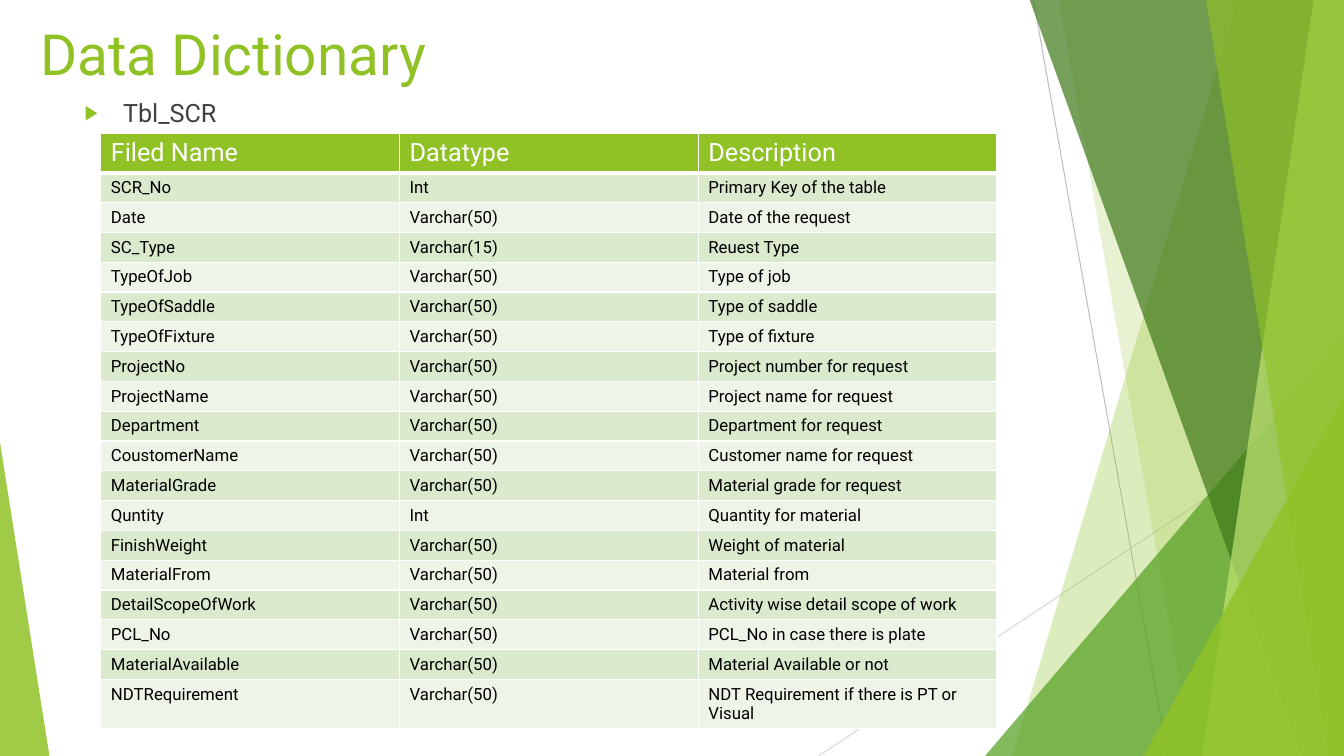
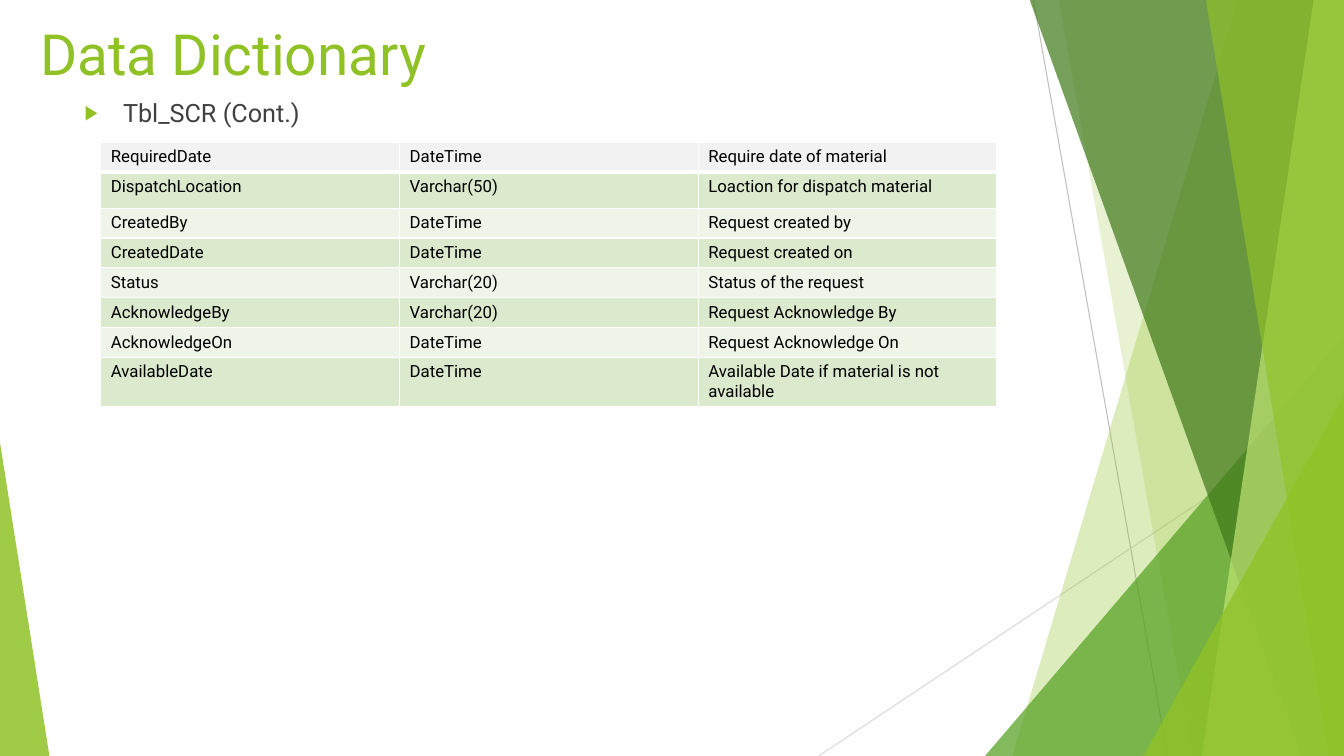
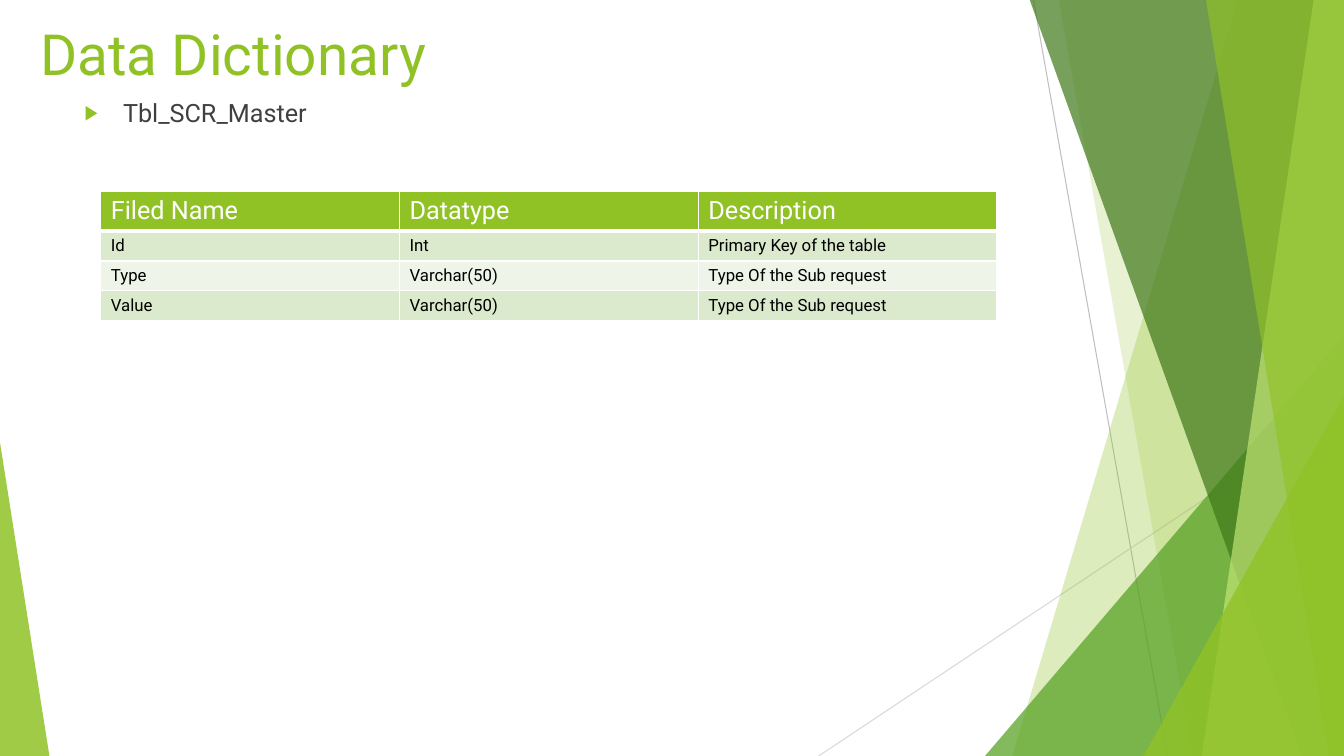
from lxml import etree
from pptx import Presentation
from pptx.dml.color import RGBColor
from pptx.enum.shapes import MSO_CONNECTOR, MSO_SHAPE
from pptx.enum.text import MSO_ANCHOR, MSO_AUTO_SIZE, PP_ALIGN
from pptx.oxml.ns import qn
from pptx.util import Inches, Pt

STRAIGHT = MSO_CONNECTOR.STRAIGHT
TRIANGLE = MSO_SHAPE.ISOSCELES_TRIANGLE
TOP, MIDDLE = MSO_ANCHOR.TOP, MSO_ANCHOR.MIDDLE
NO_AUTOFIT = MSO_AUTO_SIZE.NONE
LEFT = PP_ALIGN.LEFT

FONT = "Roboto"
LIME = RGBColor(0x90, 0xC2, 0x26)
GREEN = RGBColor(0x54, 0xA0, 0x21)
FOREST = RGBColor(0x3F, 0x78, 0x19)
PALE_LIME = RGBColor(0xC0, 0xE4, 0x74)
CHARCOAL = RGBColor(0x40, 0x40, 0x40)
BLACK = RGBColor(0, 0, 0)
WHITE = RGBColor(0xFF, 0xFF, 0xFF)
MID_GREY = RGBColor(0xBF, 0xBF, 0xBF)
LIGHT_GREY = RGBColor(0xD9, 0xD9, 0xD9)
PLAIN_ROW = RGBColor(0xF2, 0xF2, 0xF2)
STRIPES = (RGBColor(0xEE, 0xF4, 0xE8), RGBColor(0xDB, 0xE9, 0xCD))

WIDTH, HEIGHT = 13.33, 7.5
BLEED = -0.01

RAYS = [
    ((10.25, 0), (11.58, HEIGHT), MID_GREY),
    ((WIDTH, 4.03), (8.12, HEIGHT), LIGHT_GREY),
]
FACETS = [
    ("band", 12.28, 10.04, LIME, 30),
    ("band", 10.5, 11.83, LIME, 20),
    ("triangle", (9.77, 3.33, 3.56), 1, GREEN, 72),
    ("band", 10.21, 12.91, FOREST, 70),
    ("band", 13.03, 11.92, PALE_LIME, 70),
    ("band", 11.96, 13.18, LIME, 65),
    ("triangle", (11.34, 3.93, 1.99), 1, LIME, 80),
    ("triangle", (0, 4.39, 0.49), 0, LIME, 85),
]

TITLE = "Data Dictionary"
HEADER = ("Filed Name", "Datatype", "Description")
SCR_FIELDS = [
    ("SCR_No", "Int", "Primary Key of the table"),
    ("Date", "Varchar(50)", "Date of the request"),
    ("SC_Type", "Varchar(15)", "Reuest Type"),
    ("TypeOfJob", "Varchar(50)", "Type of job"),
    ("TypeOfSaddle", "Varchar(50)", "Type of saddle"),
    ("TypeOfFixture", "Varchar(50)", "Type of fixture"),
    ("ProjectNo", "Varchar(50)", "Project number for request"),
    ("ProjectName", "Varchar(50)", "Project name for request"),
    ("Department", "Varchar(50)", "Department for request"),
    ("CoustomerName", "Varchar(50)", "Customer name for request"),
    ("MaterialGrade", "Varchar(50)", "Material grade for request"),
    ("Quntity", "Int", "Quantity for material"),
    ("FinishWeight", "Varchar(50)", "Weight of material"),
    ("MaterialFrom", "Varchar(50)", "Material from"),
    ("DetailScopeOfWork", "Varchar(50)", "Activity wise detail scope of work"),
    ("PCL_No", "Varchar(50)", "PCL_No in case there is plate"),
    ("MaterialAvailable", "Varchar(50)", "Material Available or not"),
    ("NDTRequirement", "Varchar(50)", "NDT Requirement if there is PT or Visual"),
]
SCR_MORE_FIELDS = [
    ("RequiredDate", "DateTime", "Require date of material"),
    ("DispatchLocation", "Varchar(50)", "Loaction for dispatch material"),
    ("CreatedBy", "DateTime", "Request created by"),
    ("CreatedDate", "DateTime", "Request created on"),
    ("Status", "Varchar(20)", "Status of the request"),
    ("AcknowledgeBy", "Varchar(20)", "Request Acknowledge By"),
    ("AcknowledgeOn", "DateTime", "Request Acknowledge On"),
    ("AvailableDate", "DateTime", "Available Date if material is not available"),
]
MASTER_FIELDS = [
    ("Id", "Int", "Primary Key of the table"),
    ("Type", "Varchar(50)", "Type Of the Sub request"),
    ("Value", "Varchar(50)", "Type Of the Sub request"),
]
PAGES = [
    dict(topic="Tbl_SCR", rows=[HEADER] + SCR_FIELDS, top=1.32,
         heights=[0.36] + [0.29] * len(SCR_FIELDS), body_height=5.69),
    dict(topic="Tbl_SCR (Cont.)", rows=SCR_MORE_FIELDS, top=1.41,
         heights=[0.28, 0.36] + [0.28] * 6, body_height=5.69),
    dict(topic="Tbl_SCR_Master", rows=[HEADER] + MASTER_FIELDS, top=1.9,
         heights=[0.36] + [0.29] * len(MASTER_FIELDS), body_height=6.2),
]
TABLE_LEFT, TABLE_WIDTH = 1, 8.89


def write(frame, text, size, color, anchor=TOP):
    frame.word_wrap = True
    frame.vertical_anchor = anchor
    paragraph = frame.paragraphs[0]
    paragraph.alignment = LEFT
    run = paragraph.add_run()
    run.text = text
    run.font.name, run.font.size = FONT, Pt(size)
    run.font.color.rgb = color
    return paragraph


def place(holder, left, top, width, height):
    holder.left, holder.top = Inches(left), Inches(top)
    holder.width, holder.height = Inches(width), Inches(height)


def add_xml(parent, tag, **attributes):
    return etree.SubElement(parent, qn(tag), attributes)


def add_color(parent, color):
    add_xml(parent, "a:srgbClr", val=str(color))


def draw_ray(shapes, start, end, color):
    ray = shapes.add_connector(STRAIGHT, *map(Inches, start + end))
    ray.line.color.rgb, ray.line.width = color, Pt(0.75)
    add_xml(ray.element.spPr, "a:effectLst")
    return ray


def draw_facet(shapes, kind, place_at, lean, color, opacity):
    if kind == "band":
        corners = [(place_at, BLEED), (WIDTH, BLEED), (WIDTH, HEIGHT), (lean, HEIGHT)]
        first, *rest = [(Inches(x), Inches(y)) for x, y in corners]
        outline = shapes.build_freeform(*first)
        outline.add_line_segments(rest, close=True)
        facet = outline.convert_to_shape()
    else:
        left, top, width = place_at
        facet = shapes.add_shape(TRIANGLE, *map(Inches, (left, top, width, HEIGHT - top)))
        facet.adjustments[0] = lean
    facet.shadow.inherit = False
    facet.line.fill.background()
    facet.fill.solid()
    facet.fill.fore_color.rgb = color
    tint = next(facet.element.spPr.iter(qn("a:srgbClr")))
    add_xml(tint, "a:alpha", val=str(opacity * 1000))
    return facet


def decorate(master, shapes):
    backdrop = [draw_ray(shapes, *ray) for ray in RAYS]
    backdrop += [draw_facet(shapes, *facet) for facet in FACETS]
    for order, part in enumerate(backdrop):
        next(part.element.iter(qn("p:cNvPr"))).set("id", str(100 + order))
        master.shapes.element.insert(2 + order, part.element)


def add_topic(body, topic):
    paragraph = write(body.text_frame, topic, 18, CHARCOAL)
    body.text_frame.auto_size = NO_AUTOFIT
    paragraph.space_before = Pt(10)
    properties = paragraph._p.get_or_add_pPr()
    properties.set("marL", str(Inches(0.38)))
    properties.set("indent", str(-Inches(0.38)))
    add_color(add_xml(properties, "a:buClr"), LIME)
    add_xml(properties, "a:buSzPct", val="80000")
    add_xml(properties, "a:buFont", typeface="Arial")
    add_xml(properties, "a:buChar", char="▶")


def add_borders(cell_properties, bottom):
    for order, side in enumerate("LRTB"):
        points = bottom if side == "B" else 1
        border = etree.Element(qn("a:ln" + side), w=str(Pt(points)))
        add_color(add_xml(border, "a:solidFill"), WHITE)
        cell_properties.insert(order, border)


def add_fields(slide, rows, top, heights):
    columns = len(HEADER)
    frame = slide.shapes.add_table(len(rows), columns, Inches(TABLE_LEFT), Inches(top),
                                   Inches(TABLE_WIDTH), Inches(sum(heights)))
    table = frame.table
    for column in table.columns:
        column.width = Inches(TABLE_WIDTH / columns)
    for index, (values, height) in enumerate(zip(rows, heights)):
        table.rows[index].height = Inches(height)
        is_header = values == HEADER
        stripe = LIME if is_header else STRIPES[index % 2] if index else PLAIN_ROW
        for cell, value in zip(table.rows[index].cells, values):
            write(cell.text_frame, value, 18 if is_header else 12,
                  WHITE if is_header else BLACK)
            cell.vertical_anchor = TOP
            cell.fill.solid()
            cell.fill.fore_color.rgb = stripe
    for order, cell_properties in enumerate(frame.element.iter(qn("a:tcPr"))):
        add_borders(cell_properties, 3 if order < columns else 1)


deck = Presentation()
deck.slide_width, deck.slide_height = Inches(WIDTH), Inches(HEIGHT)
layout = deck.slide_layouts[1]
place(layout.placeholders[0], 0.3, 0.13, 9.2, 0.79)

for number, page in enumerate(PAGES):
    slide = deck.slides.add_slide(layout)
    if number == 0:
        decorate(deck.slide_master, slide.shapes)
    title, body = slide.placeholders
    write(title.text_frame, TITLE, 40.5, LIME, MIDDLE)
    title.text_frame.auto_size = NO_AUTOFIT
    place(body, 0.74, 0.92, 9.4, page["body_height"])
    add_topic(body, page["topic"])
    add_fields(slide, page["rows"], page["top"], page["heights"])

deck.save("out.pptx")
